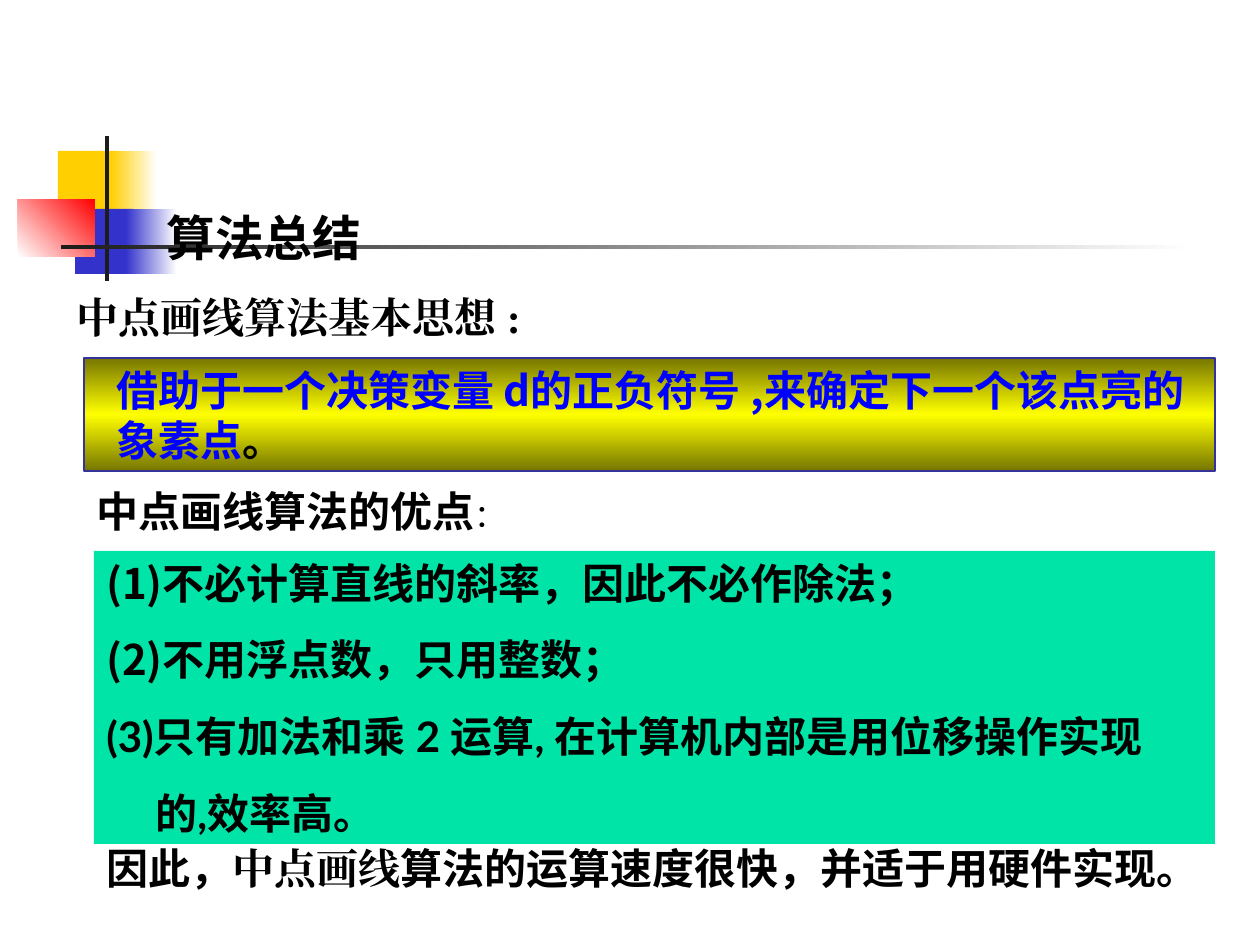
import pptx
import pptx.dml.color
import pptx.enum.shapes
import pptx.enum.text
import pptx.oxml.ns
import pptx.util
import lxml.etree
from dataclasses import dataclass

SCALE = 914400 / 126


@dataclass(frozen=True)
class Theme:
    black: str = "000000"
    white: str = "FFFFFF"
    dark: str = "1C1C1C"
    gold: str = "FFCF01"
    blue: str = "3333CC"
    red: str = "FF0000"
    green: str = "00E4A8"
    olive: str = "767600"
    yellow: str = "FFFF00"
    ink: str = "0000FF"
    border: str = "333399"
    sans: str = "Noto Sans CJK SC"
    latin: str = "Lato"
    serif: str = "Times New Roman"
    plain: str = "DejaVu Sans"
    title_size: int = 48
    body_size: int = 24
    small_size: int = 18
    line_pitch: float = 28.8
    gap: int = 15


THEME = Theme()
qn = pptx.oxml.ns.qn


def px(value):
    return pptx.util.Emu(round(value * SCALE))


def color(value):
    return pptx.dml.color.RGBColor.from_string(value)


def add_block(page, box, colors, angle=0, border=None):
    block = page.shapes.add_shape(pptx.enum.shapes.MSO_SHAPE.RECTANGLE, *map(px, box))
    block.shadow.inherit = False
    if len(colors) == 1:
        block.fill.solid()
        block.fill.fore_color.rgb = color(colors[0])
    else:
        block.fill.gradient()
        block.fill.gradient_angle = (360 - angle) % 360
        stops = block._element.spPr.find(".//" + qn("a:gsLst"))
        for stop in list(stops):
            stops.remove(stop)
        for index, value in enumerate(colors):
            position = 100000 * index // (len(colors) - 1)
            stop = lxml.etree.SubElement(stops, qn("a:gs"), pos=str(position))
            lxml.etree.SubElement(stop, qn("a:srgbClr"), val=value)
    if border:
        block.line.color.rgb = color(border)
        block.line.width = pptx.util.Pt(0.75)
    else:
        block.line.fill.background()
    return block


def add_text_box(page, box):
    return page.shapes.add_textbox(*map(px, box))


def prepare(shape, wrap=True):
    frame = shape.text_frame
    frame.word_wrap = wrap
    frame.auto_size = pptx.enum.text.MSO_AUTO_SIZE.NONE
    frame.vertical_anchor = pptx.enum.text.MSO_ANCHOR.TOP
    return frame


def format_para(para, indent=0, before=0, pitch=THEME.line_pitch):
    para.alignment = pptx.enum.text.PP_ALIGN.LEFT
    para.space_before = pptx.util.Pt(before)
    if pitch:
        para.line_spacing = pptx.util.Pt(pitch)
    if indent:
        properties = para._p.get_or_add_pPr()
        properties.set("marL", str(px(indent)))
        properties.set("indent", "0")
    return para


def add_span(para, text, font=THEME.sans, size=THEME.body_size, ink=THEME.black,
             bold=True, baseline=None):
    span = para.add_run()
    span.text = text
    span.font.name = font
    span.font.size = pptx.util.Pt(size)
    span.font.bold = bold
    span.font.color.rgb = color(ink)
    properties = span._r.get_or_add_rPr()
    lxml.etree.SubElement(properties, qn("a:ea"), typeface=font)
    if baseline:
        properties.set("baseline", str(baseline * 1000))


def draw_emblem(page, box):
    left, top, width, height = box
    pieces = [
        ((40, 15, 61, 65), [THEME.gold], 0),
        ((93, 15, 46, 65), [THEME.gold, THEME.white], 0),
        ((57, 73, 58, 65), [THEME.blue], 0),
        ((108, 73, 51, 65), [THEME.blue, THEME.white], 0),
        ((0, 63, 77, 58), [THEME.white, THEME.red], 315),
        ((87, 0, 4, height), [THEME.dark], 0),
        ((43, 109, width - 43, 4), [THEME.dark, THEME.white], 0),
    ]
    for (x, y, w, h), colors, angle in pieces:
        add_block(page, (left + x, top + y, w, h), colors, angle)


def draw_title(page, box):
    title = page.shapes.title
    title.left, title.top, title.width, title.height = map(px, box)
    para = format_para(prepare(title).paragraphs[0], pitch=None)
    add_span(para, "算法总结", font=THEME.latin, size=THEME.title_size, baseline=-25)
    page.shapes._spTree.append(title._element)


def draw_idea(page, box):
    left, top, width, height = box
    heading = prepare(add_text_box(page, (left - 40, top - 73, 546, 63)))
    para = format_para(heading.paragraphs[0], indent=20)
    add_span(para, "中点画线算法基本思想 :", font=THEME.serif)
    banner = add_block(page, box, [THEME.olive, THEME.yellow, THEME.olive], 90, THEME.border)
    para = format_para(prepare(banner).paragraphs[0], indent=20)
    add_span(para, "借助于一个决策变量 d的正负符号 ,来确定下一个该点亮的象素点", ink=THEME.ink)
    add_span(para, "。")


def draw_benefits(page, box):
    left, top, width, height = box
    heading = prepare(add_text_box(page, (left - 10, top - 72, 536, 63)))
    para = format_para(heading.paragraphs[0])
    add_span(para, "中点画线算法的优点", font=THEME.plain)
    add_span(para, "：", font=THEME.plain, size=THEME.small_size, bold=False)
    items = [
        ("(1)不必计算直线的斜率，因此不必作除法；", THEME.sans, 0),
        ("(2)不用浮点数，只用整数；", THEME.sans, 0),
        ("(3)只有加法和乘 2 运算, 在计算机内部是用位移操作实现", THEME.latin, 0),
        ("的,效率高。", THEME.latin, 49),
    ]
    frame = prepare(add_block(page, box, [THEME.green]))
    for index, (text, font, indent) in enumerate(items):
        para = frame.add_paragraph() if index else frame.paragraphs[0]
        format_para(para, indent=indent, before=THEME.gap if index else 0)
        add_span(para, text, font=font)


def draw_conclusion(page, box):
    frame = prepare(add_text_box(page, box), wrap=False)
    para = format_para(frame.paragraphs[0], pitch=THEME.line_pitch * 1.5)
    add_span(para, "因此，")
    add_span(para, "中点画线", font=THEME.serif)
    add_span(para, "算法的运算速度很快，并适于用硬件实现。")


def main():
    deck = pptx.Presentation()
    deck.slide_width, deck.slide_height = px(1260), px(945)
    page = deck.slides.add_slide(deck.slide_layouts[5])
    draw_emblem(page, (18, 136, 1177, 145))
    draw_conclusion(page, (94, 811, 1116, 88))
    draw_benefits(page, (94, 551, 1121, 293))
    draw_idea(page, (84, 358, 1131, 113))
    draw_title(page, (154, 145, 251, 127))
    deck.save("out.pptx")


if __name__ == "__main__":
    main()
